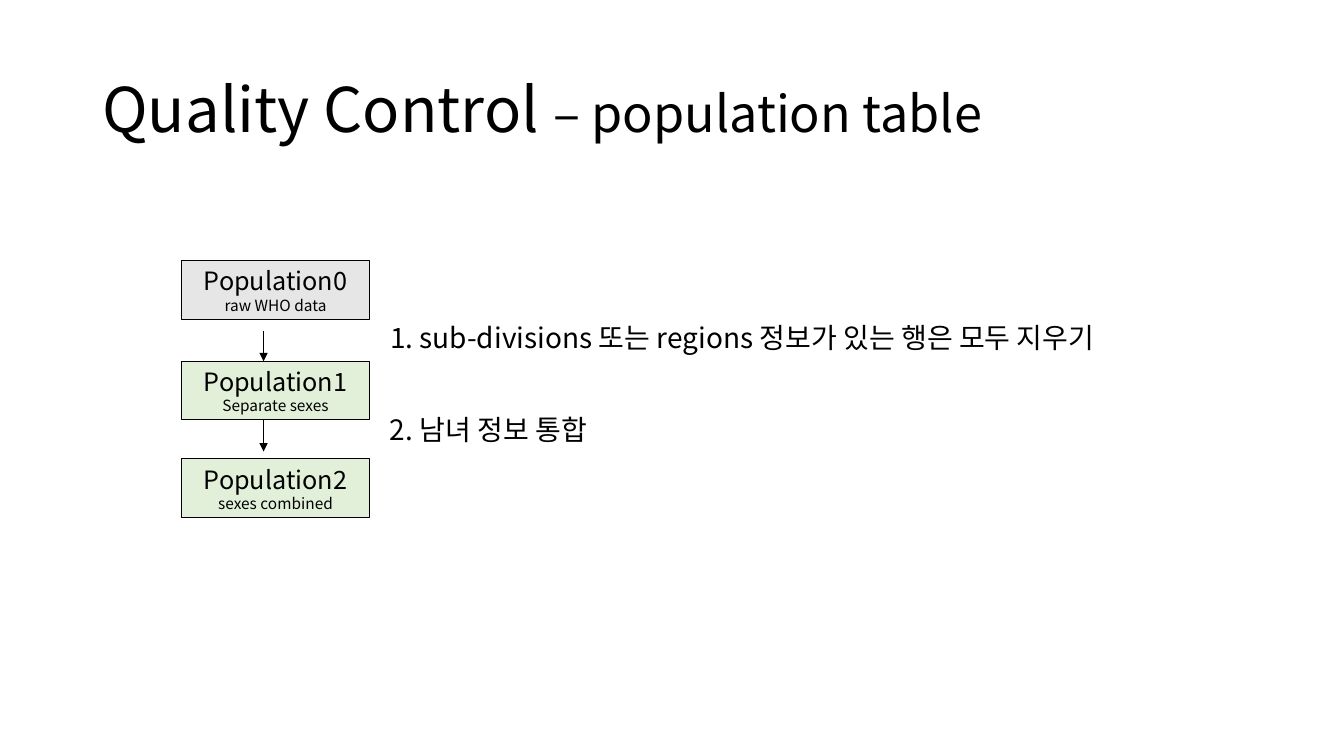
import pptx
import pptx.util
import pptx.dml.color
import pptx.enum.shapes
import pptx.enum.text
import pptx.oxml
import pptx.oxml.ns

RGBColor = pptx.dml.color.RGBColor
BLACK = RGBColor(0x00, 0x00, 0x00)
GREY = RGBColor(0xE7, 0xE6, 0xE6)
GREEN = RGBColor(0xE2, 0xF0, 0xD9)

ANCHOR = pptx.enum.text.MSO_ANCHOR
EMU_PER_PX = 9525


def px(length):
    return pptx.util.Emu(length * EMU_PER_PX)


class SlideBuilder:
    font_name = "Noto Sans CJK KR"
    line_width = pptx.util.Pt(0.75)

    def __init__(self, deck):
        self.slide = deck.slides.add_slide(deck.slide_layouts[6])

    def add_span(self, para, text, size):
        span = para.add_run()
        span.text = text
        span.font.size = pptx.util.Pt(size)
        span.font.name = self.font_name
        span.font.color.rgb = BLACK
        east_asian = pptx.oxml.parse_xml(
            f'<a:ea {pptx.oxml.ns.nsdecls("a")} typeface="{self.font_name}"/>')
        span.font._element.find(pptx.oxml.ns.qn("a:latin")).addnext(east_asian)

    def text(self, left, top, width, height, spans, anchor=ANCHOR.TOP, spacing=None):
        box = self.slide.shapes.add_textbox(px(left), px(top), px(width), px(height))
        box.text_frame.word_wrap = True
        box.text_frame.vertical_anchor = anchor
        para = box.text_frame.paragraphs[0]
        para.line_spacing = spacing
        for text, size in spans:
            self.add_span(para, text, size)

    def table_box(self, left, top, width, height, name, detail, fill):
        box = self.slide.shapes.add_shape(
            pptx.enum.shapes.MSO_SHAPE.RECTANGLE,
            px(left), px(top), px(width), px(height))
        box.shadow.inherit = False
        box.fill.solid()
        box.fill.fore_color.rgb = fill
        box.line.color.rgb = BLACK
        box.line.width = self.line_width
        frame = box.text_frame
        frame.word_wrap = False
        frame.vertical_anchor = ANCHOR.MIDDLE
        for para, text, size in ((frame.paragraphs[0], name, 18),
                                 (frame.add_paragraph(), detail, 11)):
            para.alignment = pptx.enum.text.PP_ALIGN.CENTER
            self.add_span(para, text, size)

    def down_arrow(self, x, top, bottom):
        arrow = self.slide.shapes.add_connector(
            pptx.enum.shapes.MSO_CONNECTOR.STRAIGHT, px(x), px(top), px(x), px(bottom))
        arrow.line.color.rgb = BLACK
        arrow.line.width = self.line_width
        namespace = pptx.oxml.ns.nsdecls("a")
        arrow.line._get_or_add_ln().append(
            pptx.oxml.parse_xml(f'<a:tailEnd {namespace} type="triangle"/>'))
        arrow._element.spPr.append(pptx.oxml.parse_xml(f"<a:effectLst {namespace}/>"))


def main():
    deck = pptx.Presentation()
    deck.slide_width, deck.slide_height = px(1280), px(720)
    page = SlideBuilder(deck)

    # Title
    page.text(88, 38, 1104, 139,
              [("Quality Control ", 44), ("– population table", 36)],
              ANCHOR.MIDDLE, 0.9)

    # Arrows, behind the boxes
    for top, bottom in ((315, 344), (389, 430)):
        page.down_arrow(251, top, bottom)

    # Population tables
    for top, name, detail, fill in (
            (248, "Population0", "raw WHO data", GREY),
            (344, "Population1", "Separate sexes", GREEN),
            (437, "Population2", "sexes combined", GREEN)):
        page.table_box(173, top, 179, 56, name, detail, fill)

    # Steps between the tables
    for top, width, height, step in (
            (301, 774, 74, "1. sub-divisions 또는 regions 정보가 있는 행은 모두 지우기"),
            (388, 598, 42, "2. 남녀 정보 통합")):
        page.text(362, top, width, height, [(step, 20)])

    deck.save("out.pptx")


if __name__ == "__main__":
    main()
